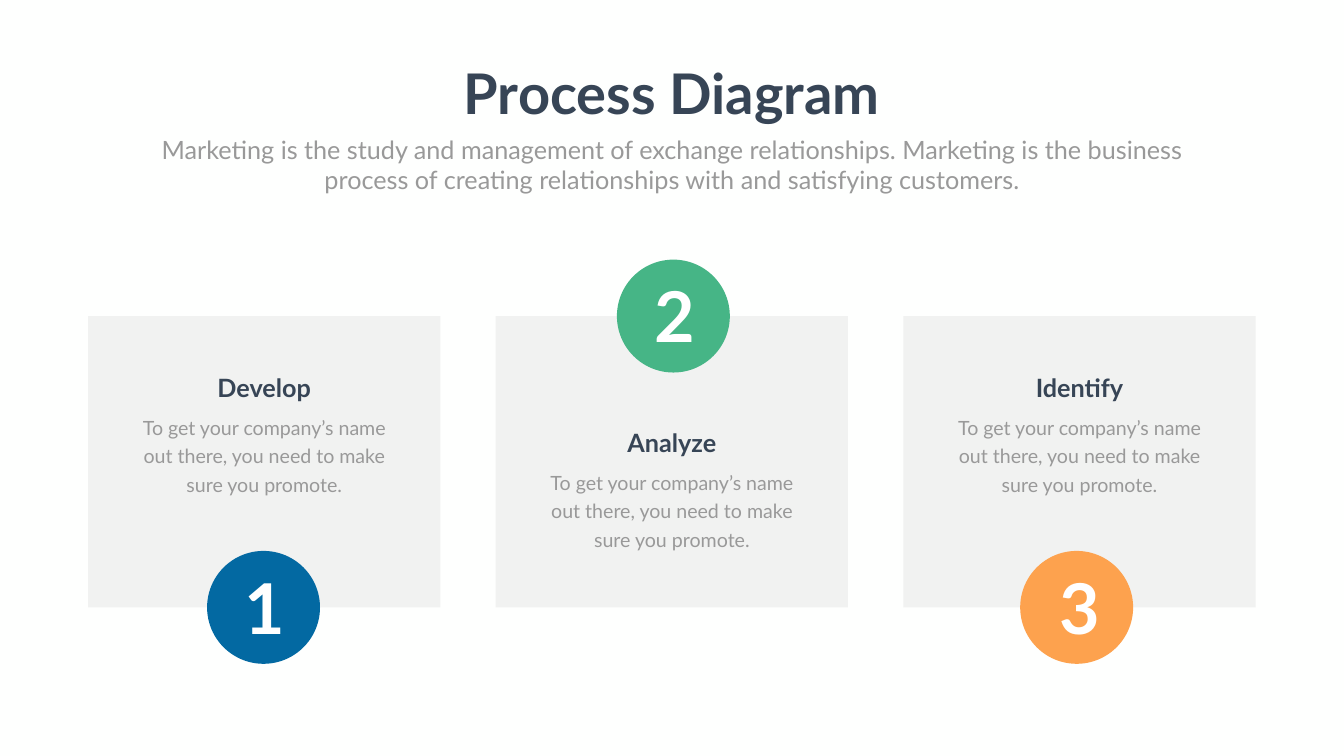
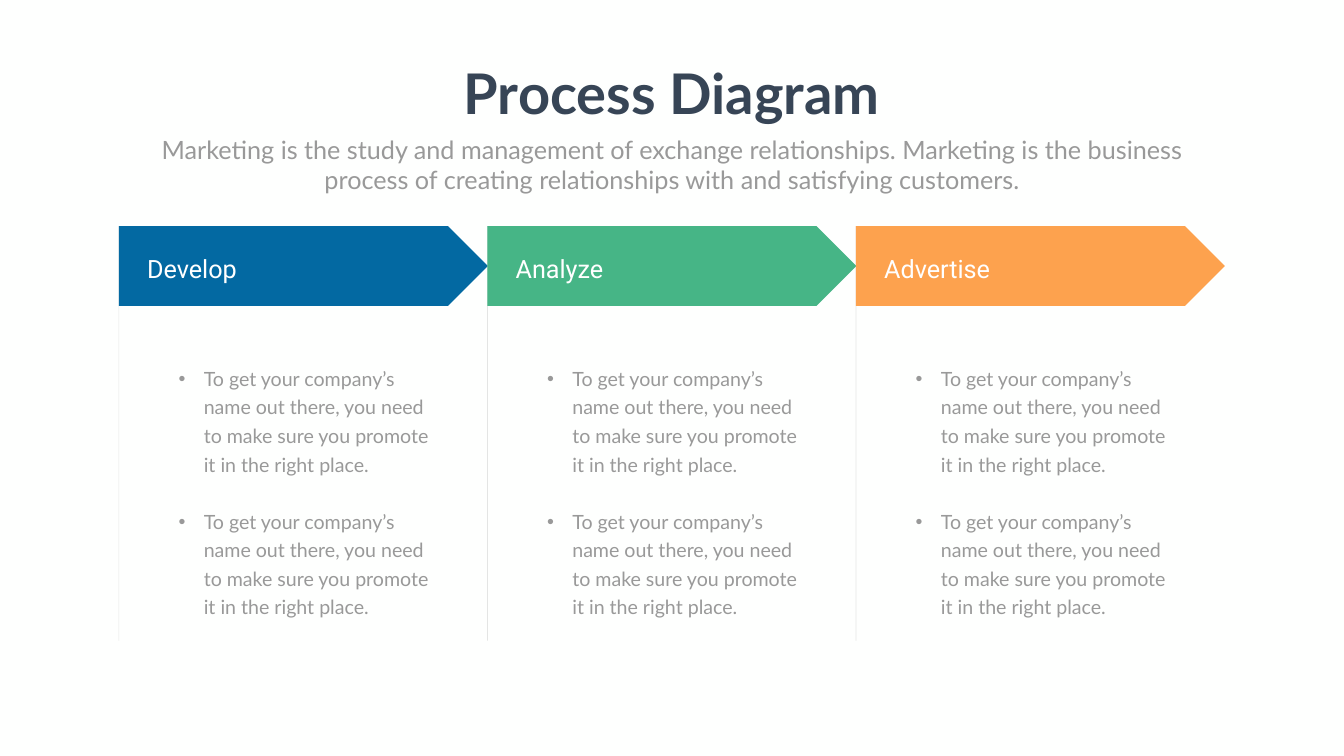
import pptx
import pptx.util
import pptx.dml.color
import pptx.enum.shapes
import pptx.enum.text
import pptx.oxml
import pptx.oxml.ns
from lxml import etree

Cm = pptx.util.Cm
Pt = pptx.util.Pt
RGBColor = pptx.dml.color.RGBColor
MSO_SHAPE = pptx.enum.shapes.MSO_SHAPE
PP_ALIGN = pptx.enum.text.PP_ALIGN
qn = pptx.oxml.ns.qn

BACKGROUND = RGBColor(0xFE, 0xFF, 0xFE)
WHITE = RGBColor(0xFF, 0xFF, 0xFF)
NAVY = RGBColor(0x37, 0x45, 0x56)
TEXT_GRAY = RGBColor(0x99, 0x99, 0x99)
MID_GRAY = RGBColor(0x80, 0x80, 0x80)
BLUE = RGBColor(0x03, 0x69, 0xA2)
GREEN = RGBColor(0x46, 0xB5, 0x86)
ORANGE = RGBColor(0xFD, 0xA2, 0x4E)

LINE_PITCH = Pt(40.8)
SUBTITLE = ("Marketing is the study and management of exchange relationships. "
            "Marketing is the business process of creating relationships with "
            "and satisfying customers.")
CARD_TEXT = ("To get your company’s name out there, you need to make "
             "sure you promote.")
BULLET_TEXT = ("To get your company’s name out there, you need to make "
               "sure you promote it in the right place.")


def add_text(slide, x, y, w, h, lines, size, color, font="Lato", bold=False,
             align=PP_ALIGN.CENTER, spacing=None, bullet=False, wrap=True):
    """Add a text box with one paragraph per line; places are in cm."""
    tf = slide.shapes.add_textbox(Cm(x), Cm(y), Cm(w), Cm(h)).text_frame
    tf.word_wrap = wrap
    for i, line in enumerate(lines):
        p = tf.paragraphs[0] if i == 0 else tf.add_paragraph()
        p.text = line
        p.alignment = align
        if spacing:
            p.line_spacing = spacing
        if bullet:
            if i > 0:
                p.space_before = spacing
            pPr = p._p.get_or_add_pPr()
            pPr.set("marL", str(Cm(1.27)))
            pPr.set("indent", str(-Cm(1.27)))
            etree.SubElement(pPr, qn("a:buFont")).set("typeface", "Arial")
            etree.SubElement(pPr, qn("a:buChar")).set("char", "•")
        r = p.runs[0]
        r.font.name = font
        r.font.size = Pt(size)
        r.font.bold = bold
        r.font.color.rgb = color


def add_filled(slide, kind, x, y, w, h, color):
    """Add a preset shape without outline or shadow; places are in cm."""
    sp = slide.shapes.add_shape(kind, Cm(x), Cm(y), Cm(w), Cm(h))
    sp.shadow.inherit = False
    sp.fill.solid()
    sp.fill.fore_color.rgb = color
    sp.line.fill.background()
    return sp


prs = pptx.Presentation()
prs.slide_width = Cm(67.72)
prs.slide_height = Cm(38.1)

slides = []
for _ in range(2):
    slide = prs.slides.add_slide(prs.slide_layouts[6])
    slide.background.fill.solid()
    slide.background.fill.fore_color.rgb = BACKGROUND
    add_text(slide, 22.89, 2.84, 21.92, 3.68, ["Process Diagram"], 80, NAVY,
             bold=True, wrap=False)
    add_text(slide, 7.42, 6.63, 52.88, 3.33, [SUBTITLE], 36, TEXT_GRAY)
    slides.append(slide)
cards_slide, arrows_slide = slides

# Slide 1: cards with numbered circles on alternating edges
CARD_LEFT, CARD_TOP, CARD_W, CARD_H, CARD_PITCH = 4.44, 15.93, 17.75, 14.68, 20.54
CIRCLE = 5.69
# heading, colour, circle centre, digit centre, circle on top edge
cards = [("Develop", BLUE, 13.28, 13.34, False),
         ("Analyze", GREEN, 33.93, 34.01, True),
         ("Identify", ORANGE, 54.25, 54.41, False)]
for i, (heading, color, circle_x, digit_x, on_top) in enumerate(cards):
    left = CARD_LEFT + i * CARD_PITCH
    center = left + CARD_W / 2
    circle_y = CARD_TOP if on_top else CARD_TOP + CARD_H
    heading_y = 21.41 if on_top else 18.64
    card = add_filled(cards_slide, MSO_SHAPE.RECTANGLE, left, CARD_TOP,
                      CARD_W, CARD_H, MID_GRAY)
    clr = card._element.spPr.find(".//" + qn("a:srgbClr"))
    etree.SubElement(clr, qn("a:alpha")).set("val", "10000")
    add_filled(cards_slide, MSO_SHAPE.OVAL, circle_x - CIRCLE / 2,
               circle_y - CIRCLE / 2, CIRCLE, CIRCLE, color)
    add_text(cards_slide, digit_x - 3.73, circle_y - 2.31, 7.46, 4.52,
             [str(i + 1)], 100, WHITE, bold=True)
    add_text(cards_slide, center - 3.31, heading_y, 6.62, 1.8, [heading], 36,
             NAVY, bold=True)
    add_text(cards_slide, center - 7, heading_y + 1.92, 14, 4.5, [CARD_TEXT],
             28, TEXT_GRAY, spacing=LINE_PITCH)

# Slide 2: arrow headers over bulleted columns
COL_LEFT, COL_TOP, COL_BOTTOM, COL_PITCH = 5.99, 11.4, 32.28, 18.57
columns = [("Develop", BLUE), ("Analyze", GREEN), ("Advertise", ORANGE)]
for i, (label, color) in enumerate(columns):
    left = COL_LEFT + i * COL_PITCH
    rule = arrows_slide.shapes.add_connector(
        pptx.enum.shapes.MSO_CONNECTOR.STRAIGHT,
        Cm(left), Cm(COL_TOP), Cm(left), Cm(COL_BOTTOM))
    rule.line.color.rgb = MID_GRAY
    rule.line.width = Pt(1)
    spPr = rule._element.spPr
    clr = spPr.find(".//" + qn("a:srgbClr"))
    etree.SubElement(clr, qn("a:alpha")).set("val", "20000")
    etree.SubElement(spPr, qn("a:effectLst"))
    add_filled(arrows_slide, MSO_SHAPE.PENTAGON, left, COL_TOP, 18.59, 4.01,
               color)
    add_text(arrows_slide, left + 1.17, 12.62, 11.2, 1.8, [label], 36, WHITE,
             font="Roboto", align=PP_ALIGN.LEFT)
    add_text(arrows_slide, left + 2.76, 18.11, 13.11, 13.26, [BULLET_TEXT] * 2,
             28, TEXT_GRAY, align=PP_ALIGN.LEFT, spacing=LINE_PITCH, bullet=True)

prs.save("out.pptx")
